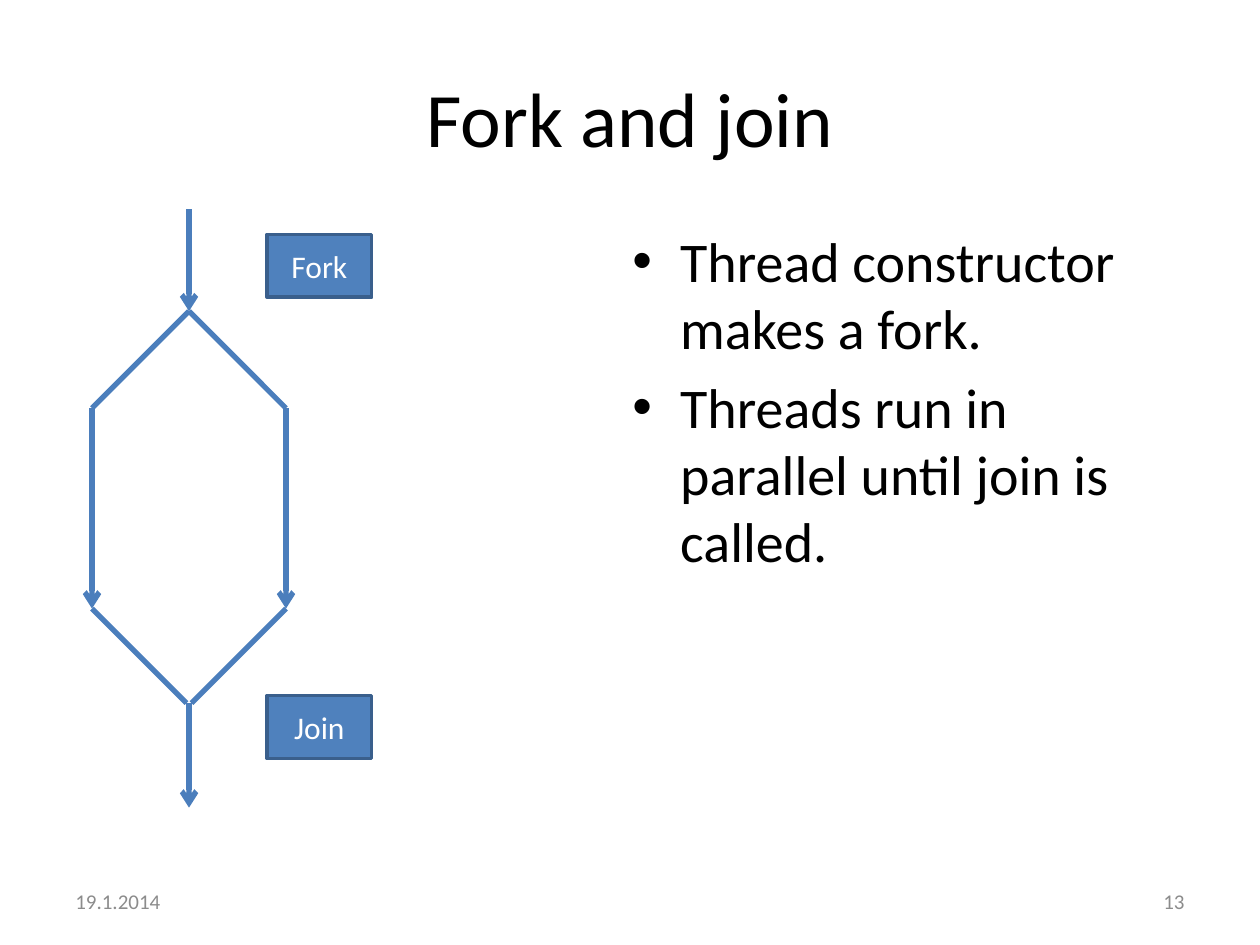
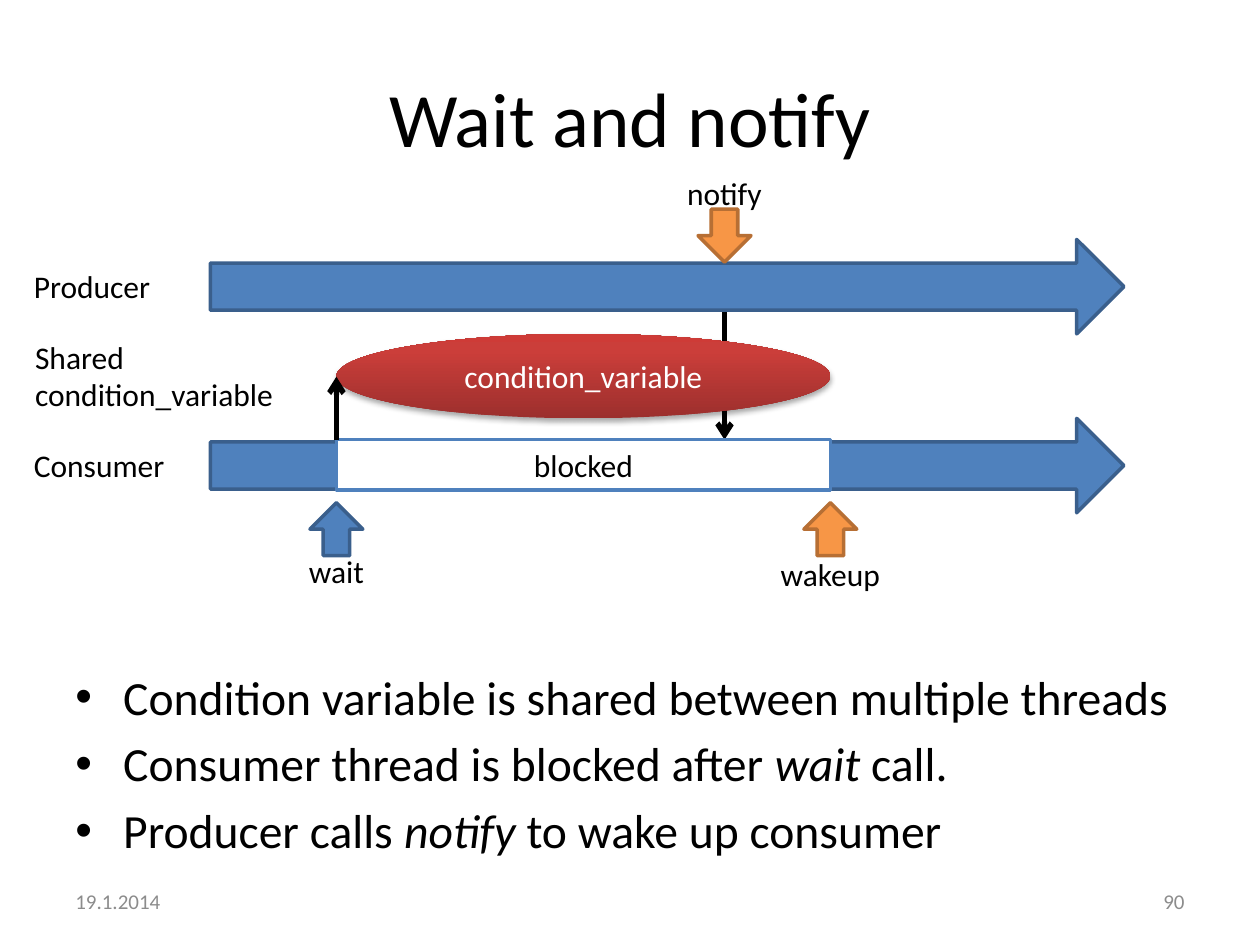
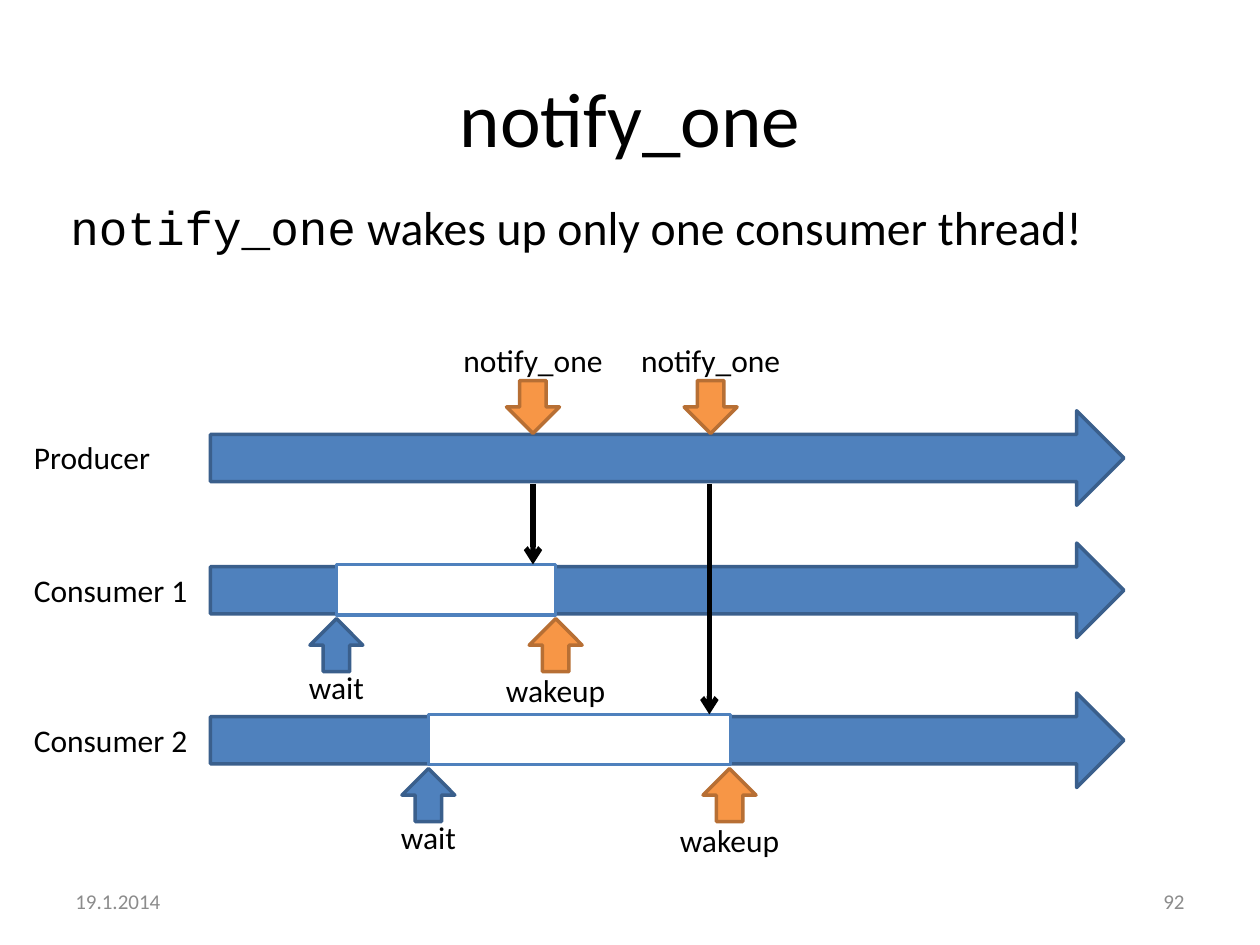
"""Builds three slides on threads: fork and join, wait and notify, notify_one."""
from copy import deepcopy
from typing import NamedTuple

from lxml.etree import SubElement
from pptx import Presentation
from pptx.dml.color import RGBColor
from pptx.enum.shapes import MSO_CONNECTOR, MSO_SHAPE
from pptx.enum.text import MSO_ANCHOR, PP_ALIGN
from pptx.oxml.ns import qn
from pptx.util import Emu, Inches, Pt

BLUE, EDGE, WIRE = "4F81BD", "3A5F8C", "4B7EBC"
ORANGE, RUST = "F79646", "B76F34"
BLACK, WHITE, GREY = "000000", "FFFFFF", "8C8C8C"
FACE, CODE = "Calibri", "Courier New"
SHINE = ((0, "9C2F2D"), (0.8, "CB3E3A"), (1, "CE3B37"))
INSET = 0.17
HEAD = 0.42
ROW = 0.4


class Box(NamedTuple):
    left: float
    top: float
    width: float
    height: float


class Span(NamedTuple):
    text: str
    italic: bool = False
    face: str = FACE


class Wire(NamedTuple):
    x1: float
    y1: float
    x2: float
    y2: float
    arrow: bool = True


class Lane(NamedTuple):
    name: str
    top: float
    width: float = 1.5


class Block(NamedTuple):
    left: float
    lane: float
    width: float
    text: str = ""


class Mark(NamedTuple):
    fill: str
    edge: str
    width: float
    gap: float
    turn: int


class Flag(NamedTuple):
    text: str
    x: float
    top: float


MARKS = {
    "wait": Mark(BLUE, EDGE, 0.75, 0.34, 180),
    "wakeup": Mark(ORANGE, RUST, 1.04, 0.37, 180),
    "notify": Mark(ORANGE, RUST, 1.04, -0.33, 0),
    "notify_one": Mark(ORANGE, RUST, 1.35, -0.36, 0),
}


def paint(target, color: str) -> None:
    target.solid()
    target.fore_color.rgb = RGBColor.from_string(color)


def style(para, size: float, color: str, align=PP_ALIGN.LEFT) -> None:
    para.alignment = align
    para.font.name = FACE
    para.font.size = Pt(size)
    para.font.color.rgb = RGBColor.from_string(color)


def place(box: Box) -> list[Emu]:
    return [Inches(side) for side in box]


def label(slide, box: Box, text: str, align=PP_ALIGN.LEFT, size: float = 18,
          color: str = BLACK, anchor=MSO_ANCHOR.TOP) -> None:
    frame = slide.shapes.add_textbox(*place(box)).text_frame
    frame.word_wrap = True
    frame.vertical_anchor = anchor
    frame.text = text
    style(frame.paragraphs[0], size, color, align)


def body(slide, box: Box, size: float, lines: list[list[Span]],
         bullet: bool = True) -> None:
    frame = slide.shapes.add_textbox(*place(box)).text_frame
    frame.word_wrap = True
    for index, spans in enumerate(lines):
        para = frame.add_paragraph() if index else frame.paragraphs[0]
        if index:
            para.space_before = Pt(size * 0.2)
        if bullet:
            props = para._p.get_or_add_pPr()
            props.set("marL", str(Inches(0.38)))
            props.set("indent", str(-Inches(0.38)))
            SubElement(props, qn("a:buFont"), typeface="Arial")
            SubElement(props, qn("a:buChar"), char="•")
        style(para, size, BLACK)
        for span in spans:
            run = para.add_run()
            run.text = span.text
            if span.italic:
                run.font.italic = True
            if span.face != FACE:
                run.font.name = span.face


def form(slide, kind, box: Box, fill: str, edge: str, text: str = "",
         color: str = WHITE):
    shape = slide.shapes.add_shape(kind, *place(box))
    shape.shadow.inherit = False
    paint(shape.fill, fill)
    paint(shape.line.fill, edge)
    shape.line.width = Pt(2)
    if text:
        frame = shape.text_frame
        frame.vertical_anchor = MSO_ANCHOR.MIDDLE
        frame.text = text
        style(frame.paragraphs[0], 18, color, PP_ALIGN.CENTER)
    return shape


def link(slide, wire: Wire, color: str = BLACK) -> None:
    ends = [Inches(end) for end in wire[:4]]
    line = slide.shapes.add_connector(MSO_CONNECTOR.STRAIGHT, *ends)
    paint(line.line.fill, color)
    line.line.width = Pt(3)
    props = line.element.spPr
    if wire.arrow:
        SubElement(props.find(qn("a:ln")), qn("a:tailEnd"), type="arrow")
    SubElement(props, qn("a:effectLst"))


def course(slide, lane: Lane) -> None:
    form(slide, MSO_SHAPE.RIGHT_ARROW, Box(1.67, lane.top, 7.25, 0.75), BLUE, EDGE)
    label(slide, Box(0.17, lane.top + INSET, lane.width, ROW), lane.name)


def pause(slide, block: Block) -> None:
    box = Box(block.left, block.lane + INSET, block.width, ROW)
    form(slide, MSO_SHAPE.RECTANGLE, box, WHITE, BLUE, block.text, BLACK)


def signal(slide, flag: Flag) -> None:
    mark = MARKS[flag.text]
    box = Box(flag.x - HEAD / 2, flag.top, HEAD, HEAD)
    arrow = form(slide, MSO_SHAPE.DOWN_ARROW, box, mark.fill, mark.edge)
    arrow.rotation = mark.turn
    spot = Box(flag.x - mark.width / 2, flag.top + mark.gap, mark.width, ROW)
    label(slide, spot, flag.text, PP_ALIGN.CENTER)


def gloss(slide, box: Box, text: str) -> None:
    oval = form(slide, MSO_SHAPE.OVAL, box, WHITE, WHITE, text)
    oval.line.fill.background()
    oval.fill.gradient()
    oval.fill.gradient_angle = 90
    props = oval.element.spPr
    stops = props.find(".//" + qn("a:gsLst"))
    stops.append(deepcopy(stops[-1]))
    for stop, (spot, color) in zip(oval.fill.gradient_stops, SHINE):
        stop.position = spot
        stop.color.rgb = RGBColor.from_string(color)
    shade = SubElement(props.find(qn("a:effectLst")), qn("a:outerShdw"),
                       blurRad=str(Pt(3.1)), dist=str(Pt(1.8)),
                       dir="5400000", rotWithShape="0")
    tint = SubElement(shade, qn("a:srgbClr"), val=BLACK)
    SubElement(tint, qn("a:alpha"), val="35000")


def start(deck, title: str, number: int):
    slide = deck.slides.add_slide(deck.slide_layouts[5])
    head = slide.shapes.title
    head.left, head.top, head.width, head.height = place(Box(0.5, 0.3, 9, 1.25))
    head.text_frame.text = title
    head.text_frame.vertical_anchor = MSO_ANCHOR.MIDDLE
    style(head.text_frame.paragraphs[0], 44, BLACK, PP_ALIGN.CENTER)
    for left, text, align in ((0.5, "19.1.2014", PP_ALIGN.LEFT),
                              (7.17, str(number), PP_ALIGN.RIGHT)):
        label(slide, Box(left, 6.95, 2.33, ROW), text, align, 12, GREY,
              MSO_ANCHOR.MIDDLE)
    return slide


def fork(deck) -> None:
    slide = start(deck, "Fork and join", 13)
    body(slide, Box(4.92, 1.75, 4.58, 4.95), 32, [
        [Span("Thread constructor makes a fork.")],
        [Span("Threads run in parallel until join is called.")],
    ])
    for text, top in (("Fork", 1.86), ("Join", 5.52)):
        form(slide, MSO_SHAPE.RECTANGLE, Box(2.12, top, 0.83, 0.5), BLUE, EDGE, text)
    mid, split, begin, end, merge = 1.5, 2.47, 3.24, 4.83, 5.58
    link(slide, Wire(mid, 1.66, mid, split), WIRE)
    for side in (-1, 1):
        x = mid + side * 0.77
        link(slide, Wire(mid, split, x, begin, False), WIRE)
        link(slide, Wire(x, begin, x, end), WIRE)
        link(slide, Wire(x, end, mid + side * 0.02, merge, False), WIRE)
    link(slide, Wire(mid, merge, mid, 6.41), WIRE)


def notify(deck) -> None:
    slide = start(deck, "Wait and notify", 90)
    link(slide, Wire(5.75, 2.48, 5.75, 3.49))
    body(slide, Box(0.5, 5.25, 9, 1.45), 27.2, [
        [Span("Condition variable is shared between multiple threads")],
        [Span("Consumer thread is blocked after "), Span("wait", True), Span(" call.")],
        [Span("Producer calls "), Span("notify", True), Span(" to wake up consumer")],
    ])
    for lane in (Lane("Producer", 1.9, 1.25), Lane("Consumer", 3.32, 1.25)):
        course(slide, lane)
    pause(slide, Block(2.67, 3.32, 3.92, "blocked"))
    gloss(slide, Box(2.67, 2.65, 3.92, 0.67), "condition_variable")
    link(slide, Wire(2.67, 3.49, 2.67, 2.99))
    for flag in (Flag("wait", 2.67, 3.99), Flag("wakeup", 6.59, 3.99),
                 Flag("notify", 5.75, 1.66)):
        signal(slide, flag)
    label(slide, Box(0.18, 2.63, 2.11, 0.71), "Shared condition_variable")


def single(deck) -> None:
    slide = start(deck, "notify_one", 92)
    body(slide, Box(0.46, 1.52, 9, 0.83), 27.2, [
        [Span("notify_one", face=CODE), Span(" wakes up only one consumer thread!")],
    ], bullet=False)
    for lane in (Lane("Producer", 3.26, 1.25), Lane("Consumer 1", 4.31),
                 Lane("Consumer 2", 5.5)):
        course(slide, lane)
    for block in (Block(2.67, 4.31, 1.74), Block(3.4, 5.5, 2.4)):
        pause(slide, block)
    for flag in (Flag("wait", 2.67, 4.91), Flag("wakeup", 4.41, 4.91),
                 Flag("wait", 3.4, 6.1), Flag("wakeup", 5.79, 6.1),
                 Flag("notify_one", 4.23, 3.02), Flag("notify_one", 5.64, 3.02)):
        signal(slide, flag)
    for x, foot in ((4.23, 4.48), (5.63, 5.67)):
        link(slide, Wire(x, 3.84, x, foot))


def main() -> None:
    deck = Presentation()
    deck.slide_width, deck.slide_height = Inches(10), Inches(7.5)
    for build in (fork, notify, single):
        build(deck)
    deck.save("out.pptx")


if __name__ == "__main__":
    main()
